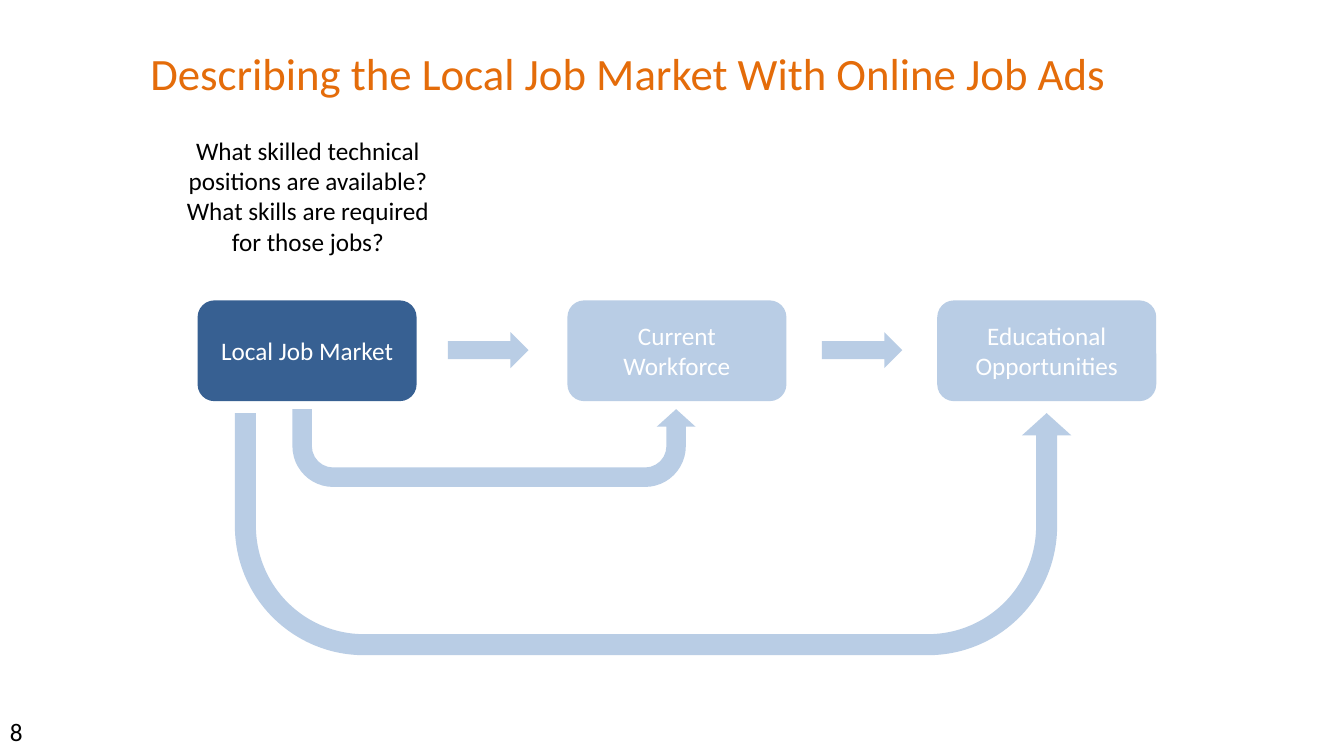
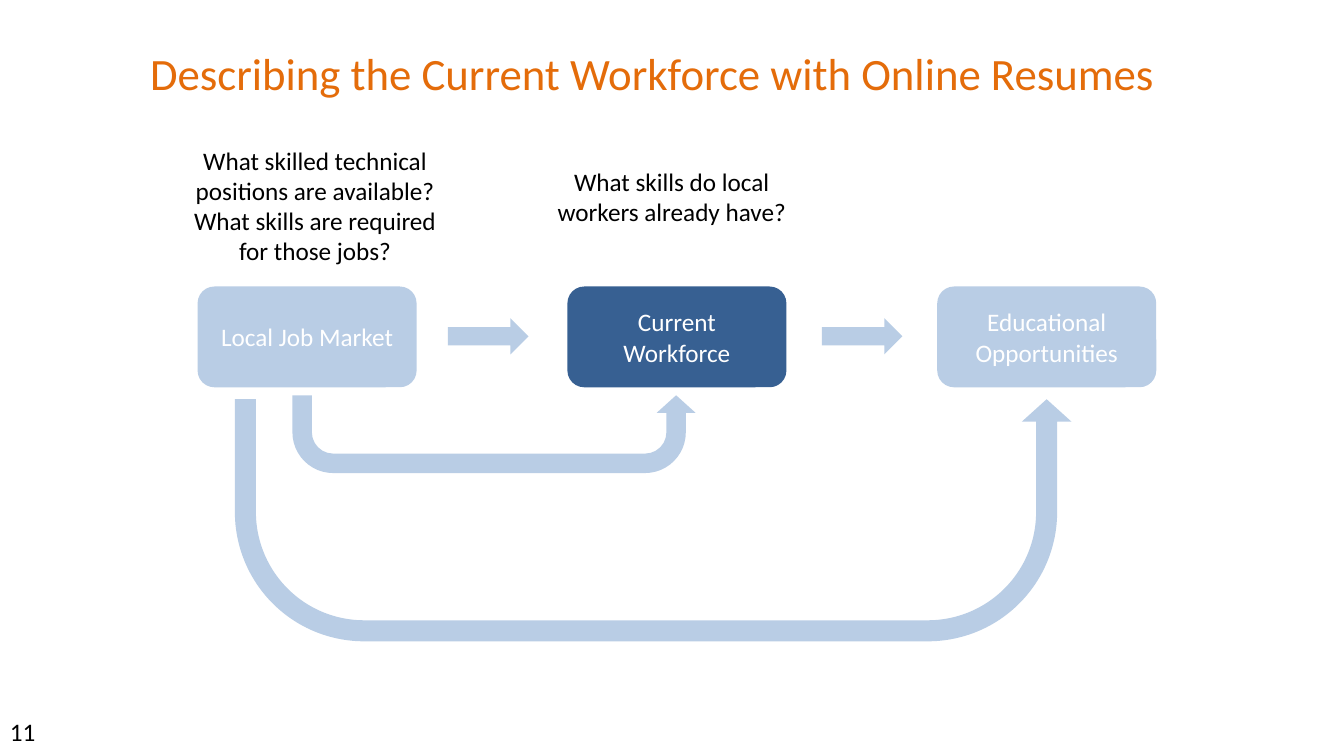
import dataclasses

import pptx
import pptx.dml.color
import pptx.enum.shapes
import pptx.enum.text
import pptx.util

Cm = pptx.util.Cm
Preset = pptx.enum.shapes.MSO_SHAPE
Align = pptx.enum.text.PP_ALIGN
Anchor = pptx.enum.text.MSO_ANCHOR


@dataclasses.dataclass(frozen=True)
class Theme:
    font: str = "Calibri"
    title_size: int = 32
    body_size: int = 18
    title: str = "E46C0A"
    ink: str = "000000"
    on_fill: str = "FFFFFF"
    active: str = "376092"
    muted: str = "B9CDE5"


class Deck:
    def __init__(self, theme):
        self.theme = theme
        self.presentation = pptx.Presentation()
        self.presentation.slide_width = Cm(33.87)
        self.presentation.slide_height = Cm(19.05)
        self.slide = None

    def new_slide(self):
        blank = self.presentation.slide_layouts[6]
        self.slide = self.presentation.slides.add_slide(blank)

    def add_wording(self, shape, wording, size, color, align):
        shape.text_frame.word_wrap = True
        paragraph = shape.text_frame.paragraphs[0]
        paragraph.alignment = align
        run = paragraph.add_run()
        run.text = wording
        run.font.name = self.theme.font
        run.font.size = pptx.util.Pt(size)
        run.font.color.rgb = pptx.dml.color.RGBColor.from_string(color)

    def text(self, wording, box, size=None, color=None, align=Align.CENTER):
        label = self.slide.shapes.add_textbox(*map(Cm, box))
        self.add_wording(label, wording, size or self.theme.body_size,
                         color or self.theme.ink, align)

    def title(self, wording, width):
        self.text(wording, (0, 1.04, width, 1.93),
                  self.theme.title_size, self.theme.title)

    def page_number(self, number):
        self.text(str(number), (0, 17.93, 7.9, 1.02), align=Align.LEFT)

    def shape(self, preset, box, color, adjustments=()):
        block = self.slide.shapes.add_shape(preset, *map(Cm, box))
        block.shadow.inherit = False
        block.fill.solid()
        block.fill.fore_color.rgb = pptx.dml.color.RGBColor.from_string(color)
        block.line.fill.background()
        for index, value in enumerate(adjustments):
            block.adjustments[index] = value
        return block

    def stage(self, wording, box, active):
        color = self.theme.active if active else self.theme.muted
        block = self.shape(Preset.ROUNDED_RECTANGLE, box, color)
        block.text_frame.vertical_anchor = Anchor.MIDDLE
        self.add_wording(block, wording, self.theme.body_size,
                         self.theme.on_fill, Align.CENTER)

    def step_arrow(self, box):
        self.shape(Preset.RIGHT_ARROW, box, self.theme.muted)

    def return_arrow(self, box, adjustments):
        arrow = self.shape(Preset.U_TURN_ARROW, box, self.theme.muted, adjustments)
        arrow.rotation = 180
        arrow._element.spPr.xfrm.set("flipH", "1")

    def pathway(self, top, active_stage):
        self.return_arrow((7.37, top + 2.74, 10.16, 1.96),
                          (0.25, 0.25, 0.226, 0.524, 1))
        for index, wording in enumerate(STAGES):
            self.stage(wording, (4.98 + index * 9.32, top, 5.52, 2.54),
                       wording == active_stage)
        for index in range(len(STAGES) - 1):
            self.step_arrow((11.29 + index * 9.42, top + 0.8, 2.03, 0.91))
        self.return_arrow((5.92, top + 2.84, 21.08, 6.1),
                          (0.087, 0.102, 0.092, 0.534, 1))


STAGES = ("Local Job Market", "Current Workforce", "Educational Opportunities")
JOB_QUESTION = ("What skilled technical positions are available? "
                "What skills are required for those jobs?")
WORKER_QUESTION = "What skills do local workers already have?"


def main():
    deck = Deck(Theme())

    deck.new_slide()
    deck.title("Describing the Local Job Market With Online Job Ads", 31.67)
    deck.text(JOB_QUESTION, (4.09, 3.28, 7.34, 3.33))
    deck.pathway(7.57, "Local Job Market")
    deck.page_number(8)

    deck.new_slide()
    deck.title("Describing the Current Workforce with Online Resumes", 32.89)
    deck.text(JOB_QUESTION, (4.27, 3.53, 7.34, 3.33))
    deck.text(WORKER_QUESTION, (13.26, 4.06, 7.34, 1.8))
    deck.pathway(7.22, "Current Workforce")
    deck.page_number(11)

    deck.presentation.save("out.pptx")


if __name__ == "__main__":
    main()
